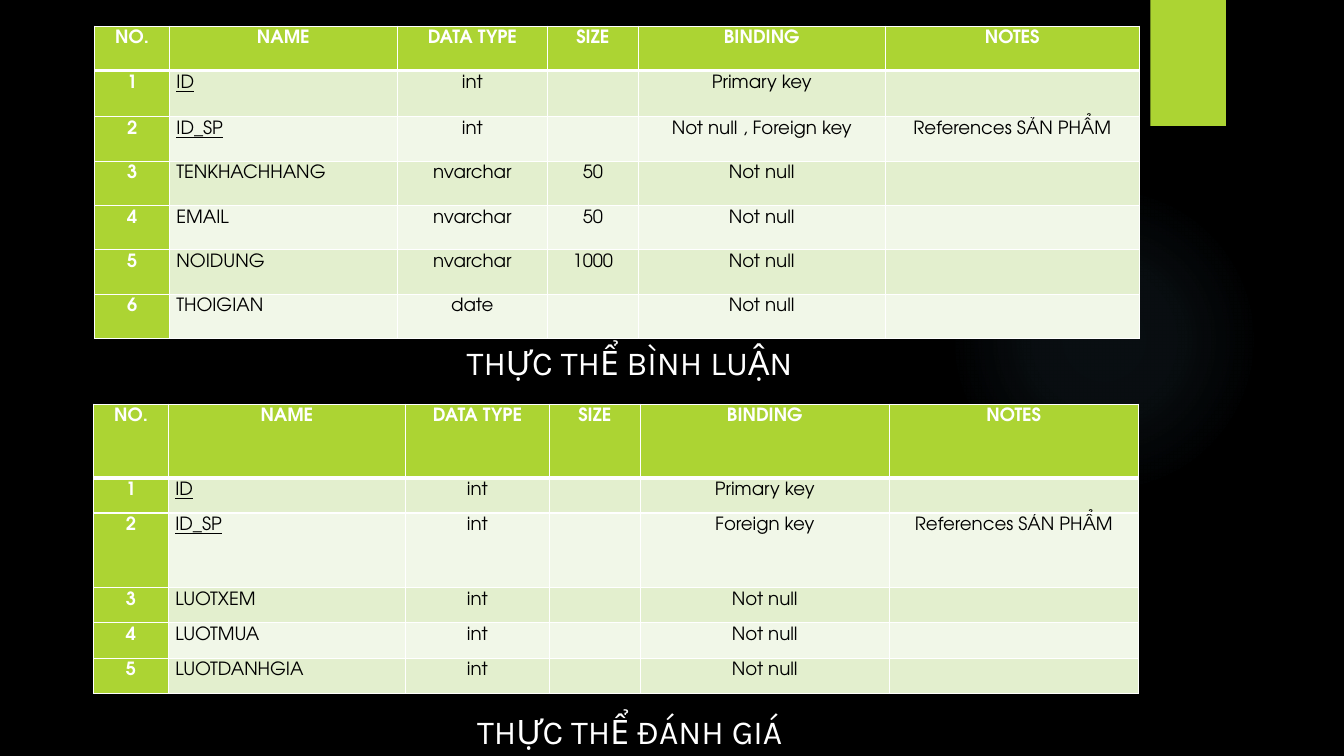
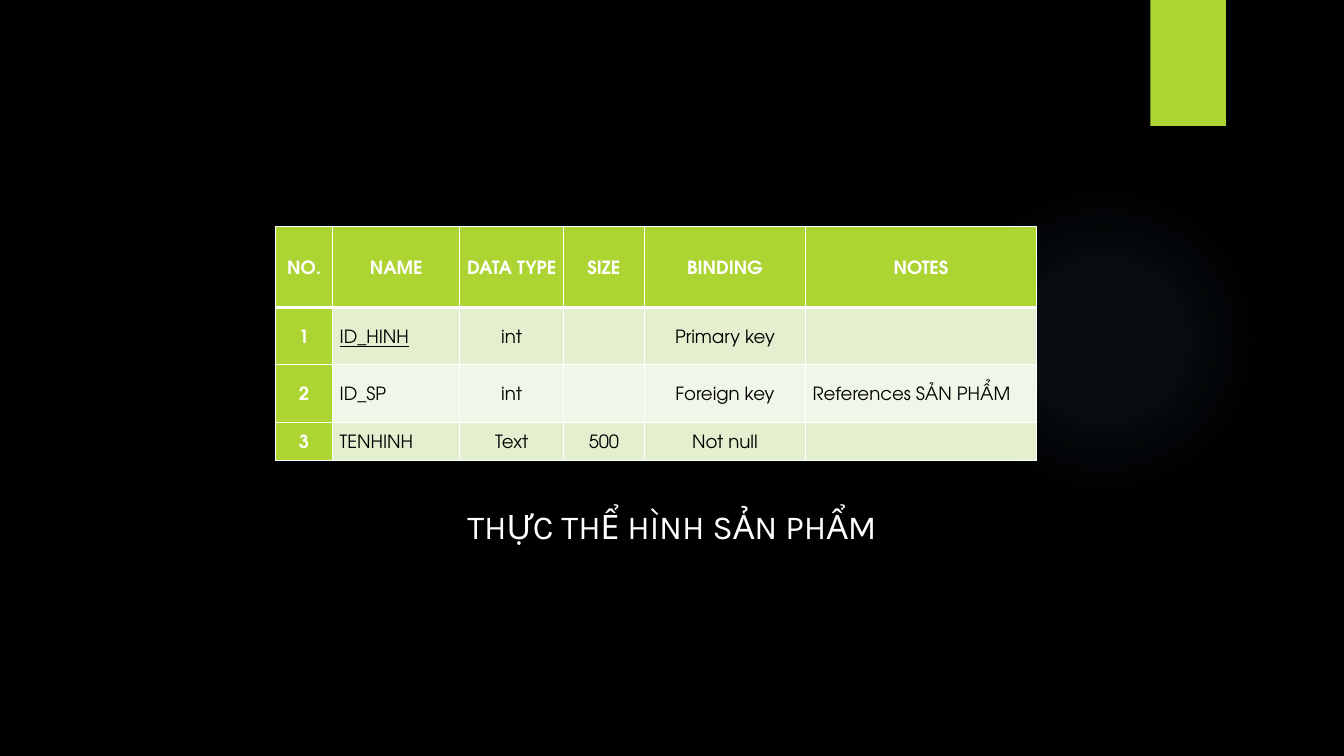
"""Build two slides of database entity tables on a black background."""
from lxml.etree import SubElement
from pptx import Presentation
from pptx.dml.color import RGBColor
from pptx.enum.shapes import MSO_SHAPE as Shape, PP_PLACEHOLDER as Holder
from pptx.enum.text import MSO_ANCHOR as Anchor, MSO_AUTO_SIZE as AutoSize, PP_ALIGN as Align
from pptx.oxml import parse_xml
from pptx.oxml.ns import nsdecls, qn
from pptx.util import Inches, Pt

BLACK = RGBColor(0x00, 0x00, 0x00)
WHITE = RGBColor(0xFF, 0xFF, 0xFF)
LIME = RGBColor(0xAC, 0xD4, 0x33)
BANDS = (RGBColor(0xE3, 0xEF, 0xCE), RGBColor(0xF1, 0xF7, 0xE8))
GLOW = RGBColor(0x7A, 0xC4, 0xF0)
GLOW_STOPS = ((0, 7), (36, 6), (69, 0), (100, 0))
CAPTION_FONT, TABLE_FONT = "Karla", "TeX Gyre Adventor"
CAPTION_SIZE, TABLE_SIZE = Pt(24), Pt(13)
HEADERS = ("NO.", "NAME", "DATA TYPE", "SIZE", "BINDING", "NOTES")
NAME_COLUMN, NOTES_COLUMN = 1, 5

COMMENT = {
    "caption": "THỰC THỂ BÌNH LUẬN", "caption_at": (3.62, 3.34), "at": (0.94, 0.26),
    "columns": (0.74, 2.26, 1.49, 0.9, 2.45, 2.52),
    "heights": (0.44, 0.46, 0.44, 0.44, 0.44, 0.44, 0.44),
    "underlined": ("ID", "ID_SP"), "left": (NAME_COLUMN,), "anchor": Anchor.TOP,
    "rows": (
        ("ID", "int", "", "Primary key", ""),
        ("ID_SP", "int", "", "Not null , Foreign key", "References SẢN PHẨM"),
        ("TENKHACHHANG", "nvarchar", "50", "Not null", ""),
        ("EMAIL", "nvarchar", "50", "Not null", ""),
        ("NOIDUNG", "nvarchar", "1000", "Not null", ""),
        ("THOIGIAN", "date", "", "Not null", ""),
    ),
}
RATING = {
    "caption": "THỰC THỂ ĐÁNH GIÁ", "caption_at": (3.62, 7), "at": (0.93, 4.01),
    "columns": (0.74, 2.35, 1.43, 0.9, 2.47, 2.47),
    "heights": (0.73, 0.35, 0.74, 0.35, 0.35, 0.35),
    "underlined": ("ID", "ID_SP"), "left": (NAME_COLUMN,), "anchor": Anchor.TOP,
    "rows": (
        ("ID", "int", "", "Primary key", ""),
        ("ID_SP", "int", "", "Foreign key", "References SẢN PHẨM"),
        ("LUOTXEM", "int", "", "Not null", ""),
        ("LUOTMUA", "int", "", "Not null", ""),
        ("LUOTDANHGIA", "int", "", "Not null", ""),
    ),
}
PRODUCT_IMAGE = {
    "caption": "THỰC THỂ HÌNH SẢN PHẨM", "caption_at": (4.04, 4.97), "at": (2.73, 2.25),
    "columns": (0.57, 1.26, 1.03, 0.8, 1.6, 2.29),
    "heights": (0.8, 0.57, 0.57, 0.38),
    "underlined": ("ID_HINH",), "left": (NAME_COLUMN, NOTES_COLUMN), "anchor": Anchor.MIDDLE,
    "rows": (
        ("ID_HINH", "int", "", "Primary key", ""),
        ("ID_SP", "int", "", "Foreign key", "References SẢN PHẨM"),
        ("TENHINH", "Text", "500", "Not null", ""),
    ),
}
SLIDES = ((COMMENT, RATING), (PRODUCT_IMAGE,))


def glow_fill():
    """Return a radial gradient that fades out."""
    stops = "".join(
        f'<a:gs pos="{position * 1000}"><a:srgbClr val="{GLOW}">'
        f'<a:alpha val="{opacity * 1000}"/></a:srgbClr></a:gs>'
        for position, opacity in GLOW_STOPS)
    return parse_xml(
        f'<a:gradFill {nsdecls("a")} rotWithShape="1"><a:gsLst>{stops}</a:gsLst>'
        '<a:path path="circle"><a:fillToRect l="50000" t="50000" r="50000" b="50000"/>'
        '</a:path></a:gradFill>')


def decorate_layout(layout, slide):
    """Draw the glow and the band, and move them to the layout."""
    for holder in list(layout.placeholders):
        if holder.placeholder_format.type != Holder.TITLE:
            holder.element.getparent().remove(holder.element)
    glow = slide.shapes.add_shape(
        Shape.OVAL, Inches(9.41), Inches(1.83), Inches(3.08), Inches(3.08))
    band = slide.shapes.add_shape(
        Shape.RECTANGLE, Inches(11.41), 0, Inches(0.75), Inches(1.25))
    for shape in (glow, band):
        shape.shadow.inherit = False
        shape.line.fill.background()
    glow.element.spPr.find(qn("a:prstGeom")).addnext(glow_fill())
    band.fill.solid()
    band.fill.fore_color.rgb = LIME
    for shape in (glow, band):
        layout.shapes.element.append(shape.element)


def style_font(font, name, size, color, bold=False, underline=False):
    """Set all the font properties the slides use."""
    font.name, font.size, font.color.rgb = name, size, color
    font.bold, font.underline = bold, underline


def write_caption(box, entity):
    """Place and fill the caption of an entity table."""
    box.left, box.top = map(Inches, entity["caption_at"])
    box.width, box.height = Inches(5.25), Inches(0.5)
    frame = box.text_frame
    frame.word_wrap, frame.auto_size = True, AutoSize.NONE
    frame.vertical_anchor = Anchor.TOP
    para = frame.paragraphs[0]
    para.text, para.alignment = entity["caption"], Align.CENTER
    style_font(para.font, CAPTION_FONT, CAPTION_SIZE, WHITE)


def draw_borders(cell, row):
    """Give a cell white borders, thick under the header row."""
    thick_side = {0: "B", 1: "T"}.get(row)
    for side in "LRTB":
        width = Pt(3 if side == thick_side else 1)
        line = SubElement(cell._tc.get_or_add_tcPr(), qn(f"a:ln{side}"), w=str(width))
        SubElement(SubElement(line, qn("a:solidFill")), qn("a:srgbClr"), val=str(WHITE))


def write_cell(cell, text, row, column, entity):
    """Fill and format one table cell."""
    is_label = row == 0 or column == 0
    draw_borders(cell, row)
    cell.fill.solid()
    cell.fill.fore_color.rgb = LIME if is_label else BANDS[(row - 1) % 2]
    cell.margin_left = cell.margin_right = Inches(0.07)
    cell.margin_top = cell.margin_bottom = 0
    cell.vertical_anchor = entity["anchor"]
    para = cell.text_frame.paragraphs[0]
    para.text = text
    is_left = row > 0 and column in entity["left"]
    para.alignment = Align.LEFT if is_left else Align.CENTER
    para.line_spacing, para.space_after = 1.25, Pt(8)
    underline = column == NAME_COLUMN and text in entity["underlined"]
    style_font(para.font, TABLE_FONT, TABLE_SIZE,
               WHITE if is_label else BLACK, is_label, underline)
    if not text:
        SubElement(para._p, qn("a:endParaRPr"), sz=str(int(TABLE_SIZE.pt * 100)))


def add_entity_table(slide, entity):
    """Add the table that lists the fields of an entity."""
    numbered = [(str(number), *fields) for number, fields in enumerate(entity["rows"], 1)]
    rows = [HEADERS, *numbered]
    left, top = map(Inches, entity["at"])
    table = slide.shapes.add_table(
        len(rows), len(HEADERS), left, top,
        Inches(sum(entity["columns"])), Inches(sum(entity["heights"]))).table
    table.first_row = table.horz_banding = False
    for column, width in zip(table.columns, entity["columns"]):
        column.width = Inches(width)
    for row, height in zip(table.rows, entity["heights"]):
        row.height = Inches(height)
    for row, texts in enumerate(rows):
        for column, text in enumerate(texts):
            write_cell(table.cell(row, column), text, row, column, entity)


def main():
    """Build and save the deck."""
    deck = Presentation()
    deck.slide_width, deck.slide_height = Inches(13.33), Inches(7.5)
    background = deck.slide_master.background.fill
    background.solid()
    background.fore_color.rgb = BLACK
    layout = deck.slide_layouts.get_by_name("Title Only")
    for index, entities in enumerate(SLIDES):
        slide = deck.slides.add_slide(layout)
        if index == 0:
            decorate_layout(layout, slide)
        for entity in entities:
            is_title = entity is entities[0]
            box = slide.shapes.title if is_title else slide.shapes.add_textbox(0, 0, 0, 0)
            write_caption(box, entity)
            add_entity_table(slide, entity)
    deck.save("out.pptx")


if __name__ == "__main__":
    main()
